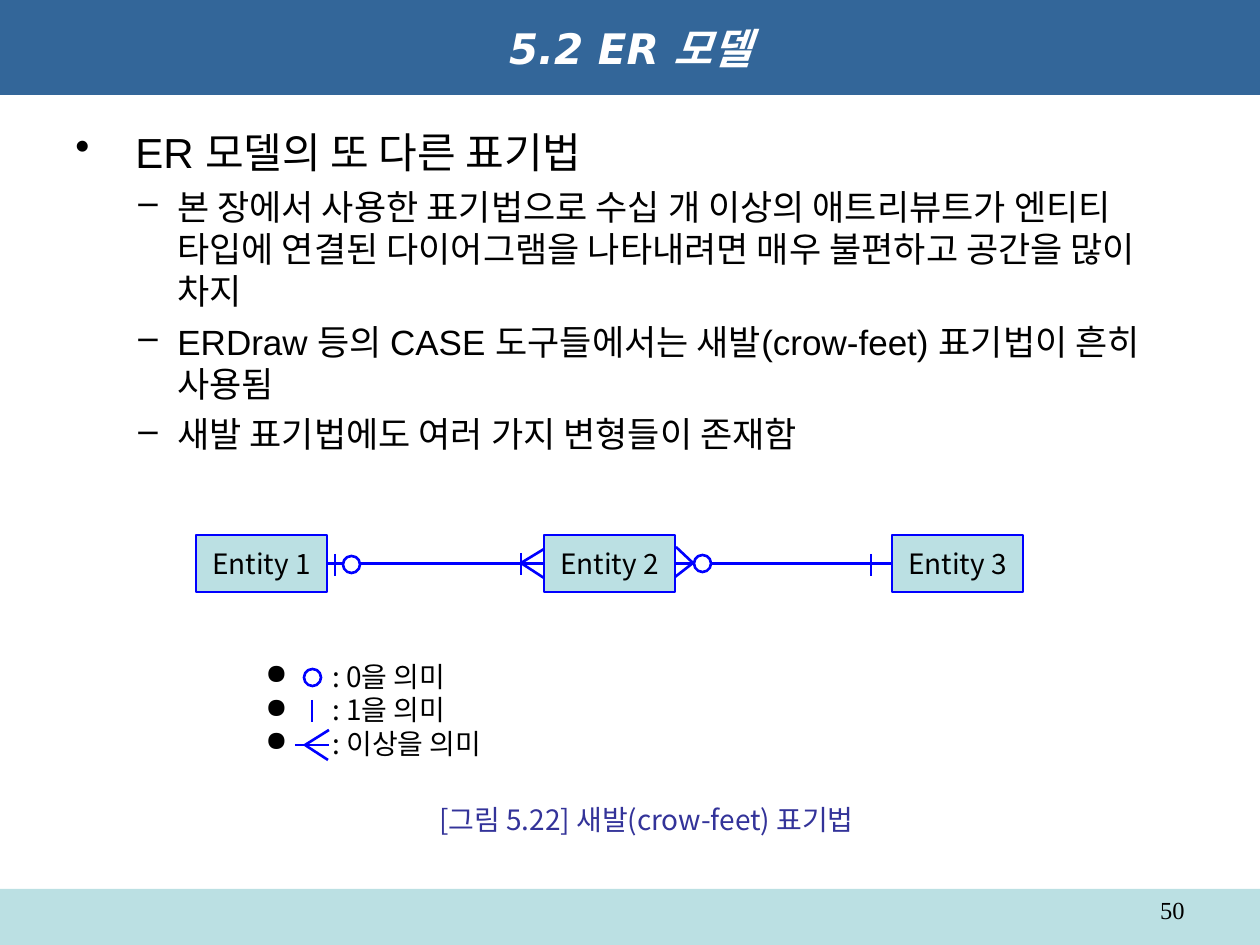
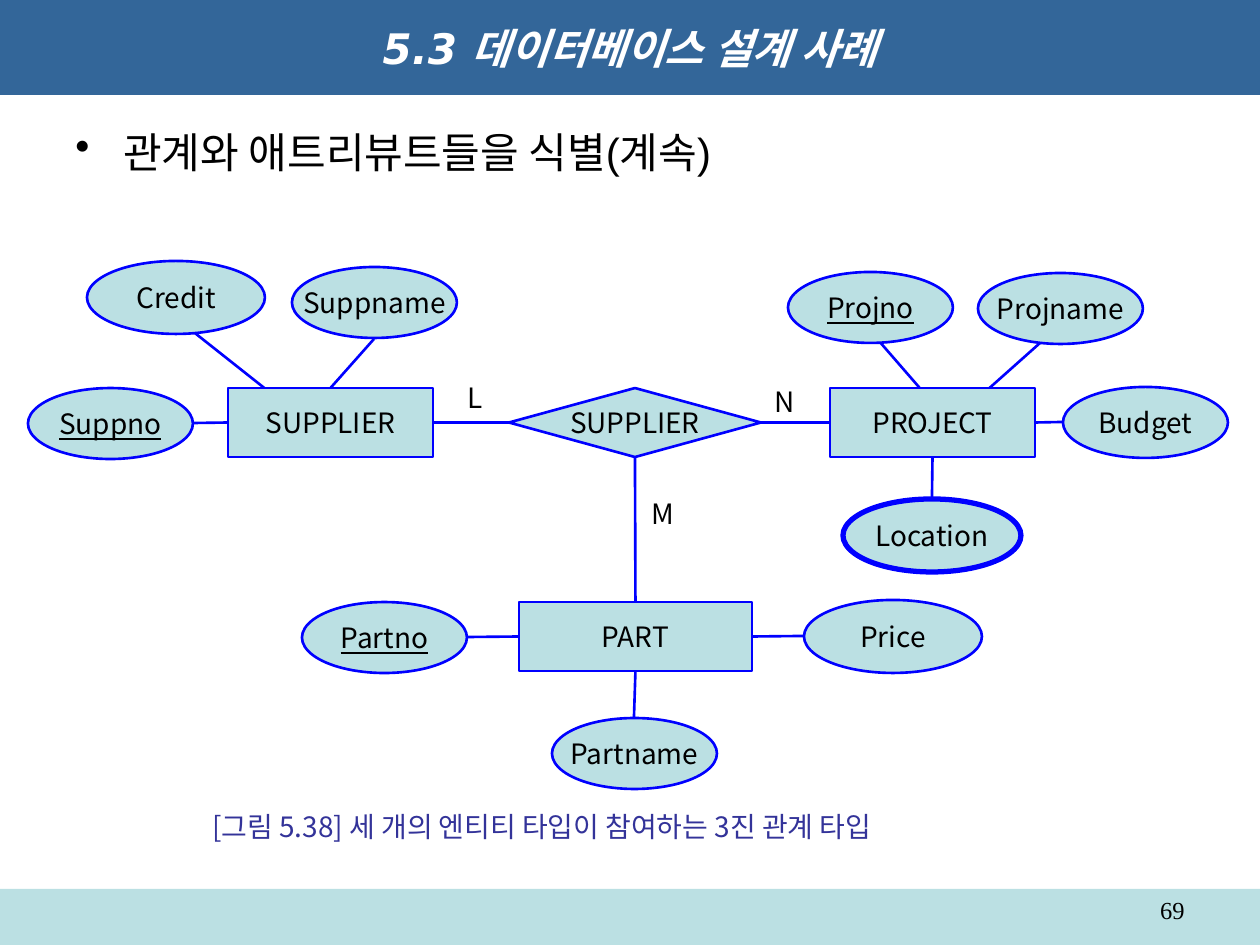
from lxml.etree import SubElement
from pptx import Presentation
from pptx.dml.color import RGBColor
from pptx.enum.shapes import MSO_CONNECTOR as Wire, MSO_SHAPE as Kind
from pptx.enum.text import MSO_ANCHOR as Anchor, PP_ALIGN as Align
from pptx.oxml.ns import qn
from pptx.util import Pt

PX = 914400 / 126
WHITE = RGBColor(0xFF, 0xFF, 0xFF)
BLACK = RGBColor(0, 0, 0)
BLUE = RGBColor(0, 0, 0xFF)
NAVY = RGBColor(0x33, 0x66, 0x99)
PALE = RGBColor(0xBB, 0xE0, 0xE3)
INDIGO = RGBColor(0x33, 0x33, 0x99)
SANS = "Noto Sans CJK JP"
KOREAN = "Noto Sans CJK KR"


def put(page, kind, box, text="", size=16, face=SANS, color=BLACK, align=Align.CENTER):
    """Add a pale, blue-lined shape, or a text box when kind is None."""
    box = [round(v * PX) for v in box]
    if kind is None:
        item = page.shapes.add_textbox(*box)
    else:
        item = page.shapes.add_shape(kind, *box)
        item.shadow.inherit = False
        item.fill.solid()
        item.fill.fore_color.rgb = PALE
        item.line.color.rgb = BLUE
        item.line.width = Pt(1.5)
        item.text_frame.vertical_anchor = Anchor.MIDDLE
    if text:
        frame = item.text_frame
        frame.word_wrap = align != Align.CENTER
        para = frame.paragraphs[0]
        para.text = text
        para.alignment = align
        para.font.size = Pt(size)
        para.font.name = face
        para.font.color.rgb = color
    return item


def link(page, *ends):
    """Add a blue line from x1, y1 to x2, y2."""
    wire = page.shapes.add_connector(Wire.STRAIGHT, *[round(v * PX) for v in ends])
    wire.line.color.rgb = BLUE
    wire.line.width = Pt(1.5)
    SubElement(wire._element.spPr, qn("a:effectLst"))
    return wire


deck = Presentation()
deck.slide_width = round(1260 * PX)
deck.slide_height = round(945 * PX)

# Title band, footer band, page number and caption
pages = []
for title, number, caption, box in [
    ("5.2 ER 모델", "50", "[그림 5.22] 새발(crow-feet) 표기법", (427, 796, 489, 47)),
    ("5.3 데이터베이스 설계 사례", "69",
     "[그림 5.38] 세 개의 엔티티 타입이 참여하는 3진 관계 타입", (200, 803, 764, 47)),
]:
    page = deck.slides.add_slide(deck.slide_layouts[5])
    pages.append(page)
    head = page.shapes.title
    head.left = head.top = 0
    head.width, head.height = deck.slide_width, round(95 * PX)
    head.fill.solid()
    head.fill.fore_color.rgb = NAVY
    head.text_frame.vertical_anchor = Anchor.MIDDLE
    para = head.text_frame.paragraphs[0]
    para.text = title
    para.alignment = Align.CENTER
    para.font.size = Pt(24)
    para.font.name = "DejaVu Sans"
    para.font.bold = para.font.italic = True
    para.font.color.rgb = WHITE
    band = put(page, Kind.RECTANGLE, (0, 889, 1260, 56))
    band.line.fill.background()
    put(page, None, (903, 889, 294, 37), number, 14, "Times New Roman", align=Align.RIGHT)
    put(page, None, box, caption, 16, KOREAN, INDIGO, Align.LEFT)
crow, case = pages

# Bulleted text: text, bullet, size, left margin, hanging indent, space before
for page, box, face, rows in [
    (crow, (63, 120, 1134, 750), "Arial", [
        ("ER 모델의 또 다른 표기법", "•", 24, 60, 60, 0),
        ("본 장에서 사용한 표기법으로 수십 개 이상의 애트리뷰트가 엔티티 타입에 연결된 "
         "다이어그램을 나타내려면 매우 불편하고 공간을 많이 차지", "–", 20, 102, 39, 5),
        ("ERDraw 등의 CASE 도구들에서는 새발(crow-feet) 표기법이 흔히 사용됨",
         "–", 20, 102, 39, 5),
        ("새발 표기법에도 여러 가지 변형들이 존재함", "–", 20, 102, 39, 5),
    ]),
    (crow, (253, 653, 343, 113), SANS, [
        (": 0을 의미", "●", 16, 67, 67, 0),
        (": 1을 의미", "●", 16, 67, 67, 0),
        (": 이상을 의미", "●", 16, 67, 67, 0),
    ]),
    (case, (63, 120, 1134, 750), "Arial", [
        ("관계와 애트리뷰트들을 식별(계속)", "•", 24, 48, 48, 0),
    ]),
]:
    frame = put(page, None, box).text_frame
    frame.word_wrap = True
    for i, (text, mark, size, left, hang, gap) in enumerate(rows):
        para = frame.add_paragraph() if i else frame.paragraphs[0]
        para.text = text
        para.space_before = Pt(gap)
        props = para._p.get_or_add_pPr()
        props.set("marL", str(round(left * PX)))
        props.set("indent", str(round(-hang * PX)))
        SubElement(props, qn("a:buChar"), char=mark)
        para.font.size = Pt(size)
        para.font.name = face
        para.font.color.rgb = BLACK

# Crow-feet diagram
boxes = [put(crow, Kind.RECTANGLE, (196 + 348 * i, 535, 131, 57), f"Entity {i + 1}")
         for i in range(3)]
for left, right in zip(boxes, boxes[1:]):
    wire = link(crow, 0, 0, 0, 0)
    wire.begin_connect(left, 3)
    wire.end_connect(right, 1)
for x, y in [(343, 556), (694, 555), (304, 669)]:
    ring = put(crow, Kind.OVAL, (x, y, 17, 17))
    ring.fill.fore_color.rgb = WHITE
for x, y in [(335, 554), (521, 553), (871, 554), (312, 700)]:
    link(crow, x, y, x, y + 22)
for ends in [
    (521, 563, 544, 549), (521, 563, 544, 578),
    (693, 563, 676, 547), (693, 563, 675, 577),
    (305, 745, 329, 730), (305, 745, 328, 760), (295, 745, 329, 745),
]:
    link(crow, *ends)

# Slanted links, drawn behind the nodes
for ends in [(186, 326, 277, 398), (859, 318, 925, 394), (985, 392, 1067, 319)]:
    link(case, *ends)

# Entity types and their relationship
vendor = put(case, Kind.RECTANGLE, (228, 388, 205, 69), "SUPPLIER")
project = put(case, Kind.RECTANGLE, (830, 388, 205, 69), "PROJECT")
part = put(case, Kind.RECTANGLE, (519, 602, 233, 69), "PART")
supply = put(case, Kind.DIAMOND, (509, 388, 252, 69), "SUPPLIER")
for site, node, side in [(1, vendor, 3), (3, project, 1), (2, part, 0)]:
    wire = link(case, 0, 0, 0, 0)
    wire.begin_connect(supply, site)
    wire.end_connect(node, side)

# Attributes
small, large = (165, 71), (178, 73)
for name, x, y, size in [
    ("Credit", 87, 261, large), ("Suppname", 292, 267, small), ("Suppno", 28, 388, small),
    ("Projno", 788, 272, small), ("Projname", 978, 273, small), ("Budget", 1063, 387, small),
    ("Location", 843, 499, large), ("Partno", 302, 602, small), ("Price", 804, 600, large),
    ("Partname", 552, 718, small),
]:
    oval = put(case, Kind.OVAL, (x, y, *size), name)
    if name.endswith("no"):
        oval.text_frame.paragraphs[0].font.underline = True
    if name == "Location":
        oval.line.width = Pt(3)
for x, y, node, side in [
    (374, 339, vendor, 0), (194, 423, vendor, 1),
    (1063, 422, project, 3), (932, 498, project, 2),
    (468, 637, part, 1), (803, 636, part, 3), (634, 717, part, 2),
]:
    link(case, x, y, x, y).end_connect(node, side)

for name, box in [("L", (455, 374, 39, 47)), ("M", (638, 490, 50, 47)),
                  ("N", (761, 378, 47, 47))]:
    put(case, None, box, name)

deck.save("out.pptx")
